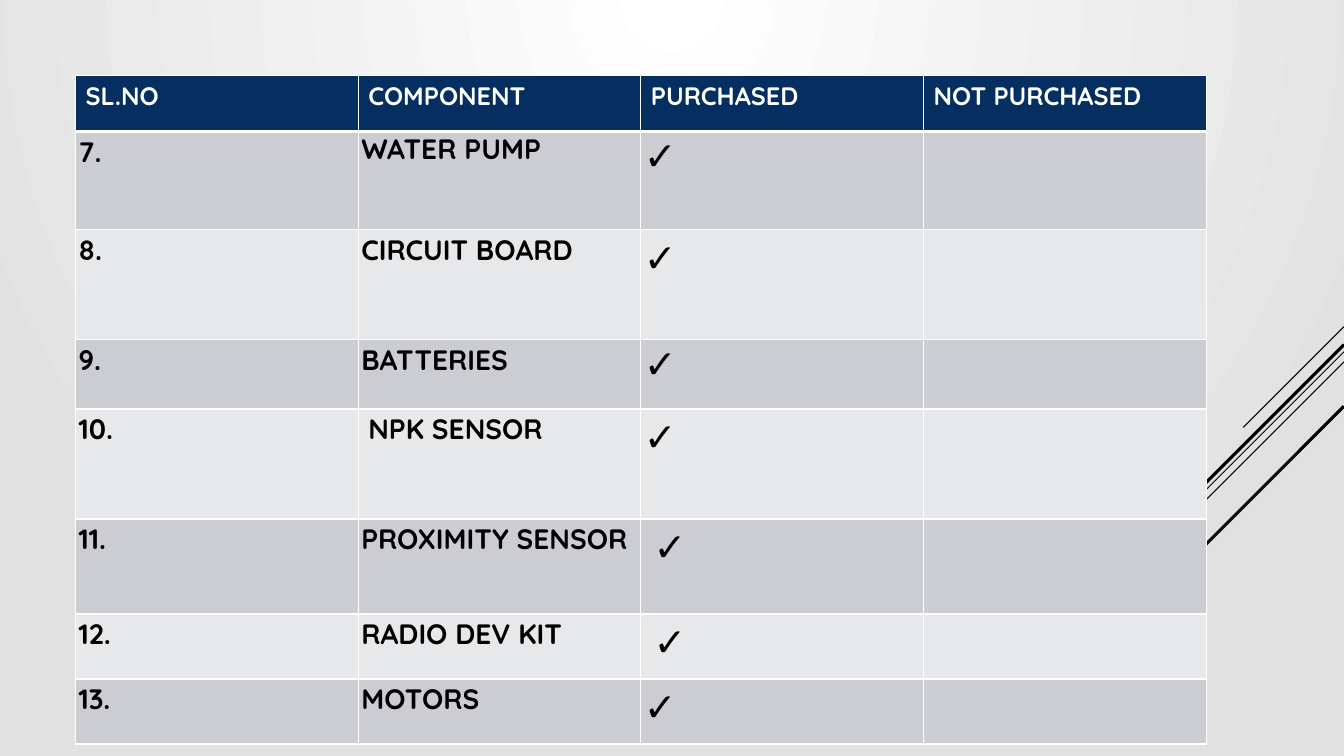
from lxml import etree
from pptx import Presentation
from pptx.dml.color import RGBColor
from pptx.enum.shapes import MSO_CONNECTOR as Connector
from pptx.oxml import parse_xml
from pptx.oxml.ns import nsdecls, qn
from pptx.util import Pt

WIDTH, HEIGHT = 960, 540
FONT, SPACE_FONT = "Quicksand", "Times New Roman"
NAVY, WHITE, BLACK = "052F61", "FFFFFF", "000000"
BANDS = ["CCCDD2", "E7E8EA"]
LEFT, TOP, COLUMN = 54, 54, 201.9
HEADERS = ["SL.NO", "COMPONENT", "PURCHASED", "NOT PURCHASED"]
ITEMS = [
    ("7.", "WATER PUMP", "✓", 70.2),
    ("8.", "CIRCUIT BOARD", "✓", 78.5),
    ("9.", "BATTERIES", "✓", 49.5),
    ("10.", " NPK SENSOR", "✓", 78.5),
    ("11.", "PROXIMITY SENSOR", " ✓", 68),
    ("12.", "RADIO DEV KIT", " ✓", 46.4),
    ("13.", "MOTORS", "✓", 46.4),
]
SINGLE_SPACED = {(1, 1), (1, 2), (3, 2)}
DIAGONALS = [
    (233.3, 72, 0.75),
    (251.3, 234.7, 0.75),
    (258.5, 149, 0.75),
    (246.2, 137.5, 2.25),
    (290.2, 100, 2.25),
]


def color(value):
    return RGBColor.from_string(value)


def paint_background(page):
    fill = page.background.fill
    fill.gradient()
    old = page.background._cSld.find(".//" + qn("a:gradFill"))
    old.getparent().replace(old, parse_xml(
        f'<a:gradFill {nsdecls("a")} rotWithShape="1"><a:gsLst>'
        '<a:gs pos="0"><a:srgbClr val="FFFFFF"/></a:gs>'
        '<a:gs pos="100000"><a:srgbClr val="E1E1E1"/></a:gs></a:gsLst>'
        '<a:path path="circle"><a:fillToRect b="100000"/></a:path></a:gradFill>'))


def add_diagonal(page, top, run, weight):
    line = page.shapes.add_connector(
        Connector.STRAIGHT, Pt(WIDTH), Pt(top), Pt(WIDTH - run), Pt(top + run))
    line.line.color.rgb = color(BLACK)
    line.line.width = Pt(weight)
    etree.SubElement(line._element.spPr, qn("a:effectLst"))


def style_cell(cell, fill, top=1, bottom=1):
    properties = cell._tc.get_or_add_tcPr()
    for side, weight in zip("LRTB", (1, 1, top, bottom)):
        properties.append(parse_xml(
            f'<a:ln{side} {nsdecls("a")} w="{Pt(weight)}"><a:solidFill>'
            f'<a:srgbClr val="{WHITE}"/></a:solidFill></a:ln{side}>'))
    cell.fill.solid()
    cell.fill.fore_color.rgb = color(fill)


def add_span(para, text, size, ink, bold, font=FONT):
    span = para.add_run()
    span.text = text
    span.font.name = font
    span.font.size = Pt(size)
    span.font.bold = bold
    span.font.color.rgb = color(ink)


def fill_item(cell, text, row, column):
    cell.margin_left = cell.margin_right = Pt(2.2)
    cell.margin_top = cell.margin_bottom = 0
    para = cell.text_frame.paragraphs[0]
    if (row, column) not in SINGLE_SPACED:
        para.line_spacing = 1.07
        para.space_after = Pt(8)
    size, bold = (28, False) if column == 2 else (20, True)
    if text.startswith(" "):
        add_span(para, " ", size, BLACK, bold, SPACE_FONT)
        text = text[1:]
    add_span(para, text, size, BLACK, bold)


def main():
    deck = Presentation()
    deck.slide_width, deck.slide_height = Pt(WIDTH), Pt(HEIGHT)
    page = deck.slides.add_slide(deck.slide_layouts[6])
    paint_background(page)
    for diagonal in DIAGONALS:
        add_diagonal(page, *diagonal)

    heights = [40] + [item[-1] for item in ITEMS]
    table = page.shapes.add_table(
        len(heights), len(HEADERS), Pt(LEFT), Pt(TOP),
        Pt(COLUMN * len(HEADERS)), Pt(sum(heights))).table
    for column in table.columns:
        column.width = Pt(COLUMN)
    for row, height in zip(table.rows, heights):
        row.height = Pt(height)

    for column, header in enumerate(HEADERS):
        cell = table.cell(0, column)
        style_cell(cell, NAVY, bottom=3)
        add_span(cell.text_frame.paragraphs[0], header, 18, WHITE, True)
    for row, item in enumerate(ITEMS, 1):
        for column in range(len(HEADERS)):
            cell = table.cell(row, column)
            style_cell(cell, BANDS[(row - 1) % 2], top=3 if row == 1 else 1)
            if column < 3:
                fill_item(cell, item[column], row, column)
    deck.save("out.pptx")


if __name__ == "__main__":
    main()
